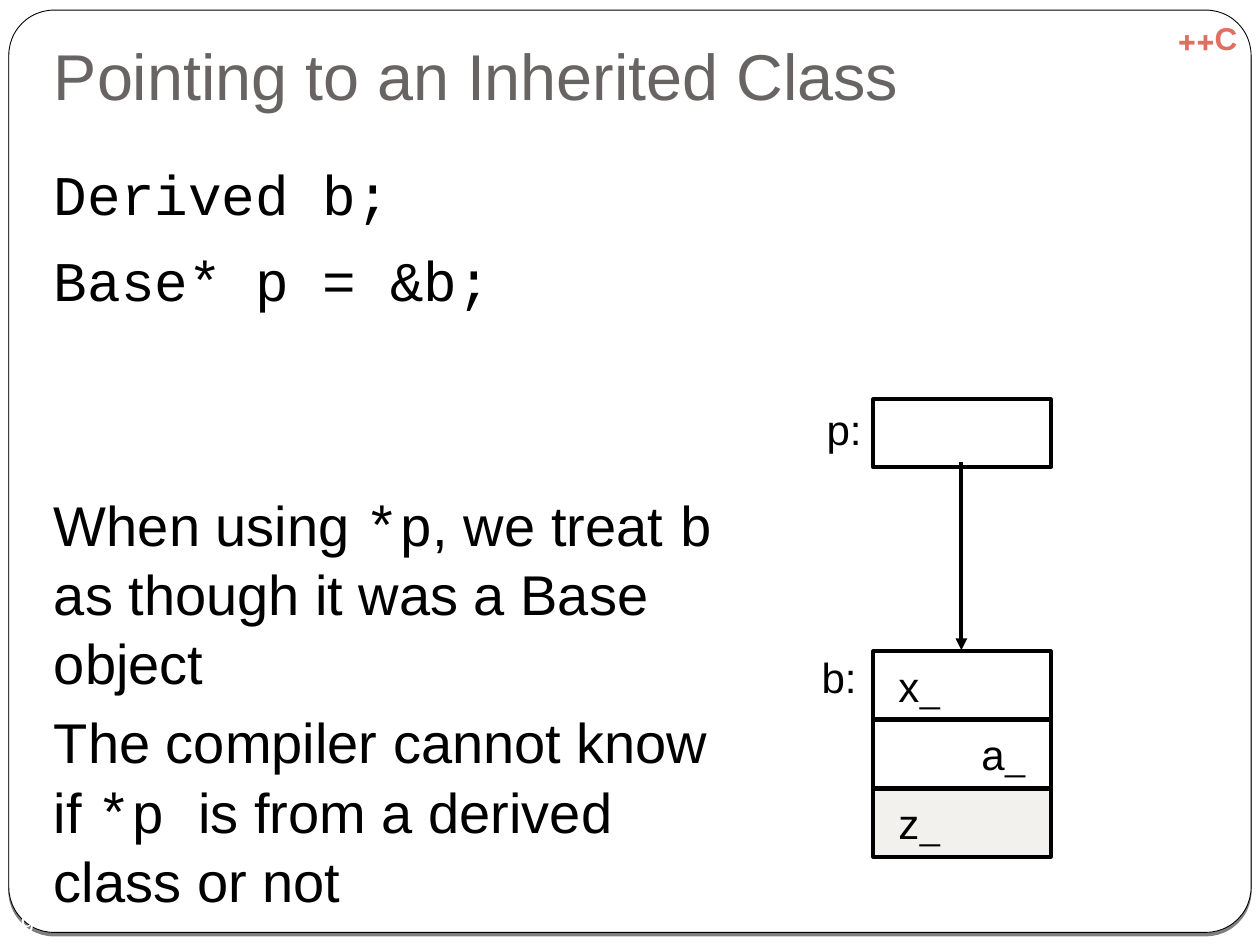
"""Build a slide on base-class pointers to derived objects."""
from lxml.etree import SubElement
from pptx import Presentation
from pptx.dml.color import RGBColor
from pptx.enum.shapes import MSO_CONNECTOR, MSO_SHAPE
from pptx.enum.text import MSO_ANCHOR, PP_ALIGN
from pptx.oxml import parse_xml
from pptx.oxml.ns import nsdecls, qn
from pptx.util import Inches, Pt

BLACK = RGBColor(0x00, 0x00, 0x00)
WHITE = RGBColor(0xFF, 0xFF, 0xFF)
GRAY = RGBColor(0x69, 0x64, 0x64)
CORAL = RGBColor(0xDE, 0x6F, 0x61)
SAND = RGBColor(0xE9, 0xE5, 0xDC)
SANS, MONO = "Arial", "Courier New"
CELL_LEFT, CELL_WIDTH, CELL_HEIGHT = 6.93, 1.41, 0.54
POINTER_TOP, OBJECT_TOP = 3.17, 5.17


class SlideWriter:
    def __init__(self, deck):
        self.page = deck.slides.add_slide(deck.slide_layouts[6])

    def style(self, para, size, color=BLACK, font=SANS, bold=False):
        for span in para.runs:
            span.font.name, span.font.size, span.font.bold = font, Pt(size), bold
            span.font.color.rgb = color

    def frame(self, shape, insets, anchor=MSO_ANCHOR.TOP, wrap=True):
        frame = shape.text_frame
        frame.word_wrap, frame.vertical_anchor = wrap, anchor
        (frame.margin_left, frame.margin_top,
         frame.margin_right, frame.margin_bottom) = map(Inches, insets)
        return frame

    def text(self, at, text, size, color=BLACK, insets=(0.1, 0.05, 0.1, 0.05),
             anchor=MSO_ANCHOR.TOP, align=PP_ALIGN.LEFT, wrap=True, bold=False, rtl=False):
        box = self.page.shapes.add_textbox(*map(Inches, at))
        para = self.frame(box, insets, anchor, wrap).paragraphs[0]
        para.text, para.alignment = text, align
        if rtl:
            para._p.get_or_add_pPr().set("rtl", "1")
        self.style(para, size, color, bold=bold)
        return para

    def body(self, at, paragraphs, size):
        box = self.page.shapes.add_textbox(*map(Inches, at))
        frame = self.frame(box, (0.1, 0.12, 0.1, 0.05))
        for index, (before, spacing, spans) in enumerate(paragraphs):
            para = frame.add_paragraph() if index else frame.paragraphs[0]
            para.line_spacing, para.space_before = spacing, Pt(before)
            if len(spans) == 1:
                para.text = spans[0][0]
                self.style(para, size, font=spans[0][1])
                continue
            for text, font in spans:
                span = para.add_run()
                span.text = text
                span.font.name, span.font.size = font, Pt(size)
                span.font.color.rgb = BLACK

    def shape(self, kind, at, fill=None, line_width=None, alpha=None):
        shape = self.page.shapes.add_shape(kind, *map(Inches, at))
        shape.shadow.inherit = False
        if fill is None:
            shape.fill.background()
        else:
            shape.fill.solid()
            shape.fill.fore_color.rgb = fill
        if alpha is not None:
            color = shape._element.spPr.find(".//" + qn("a:srgbClr"))
            SubElement(color, qn("a:alpha")).set("val", str(alpha * 1000))
        if line_width is None:
            shape.line.fill.background()
        else:
            shape.line.color.rgb, shape.line.width = BLACK, Pt(line_width)
        return shape

    def panel(self, at, corner):
        panel = self.shape(MSO_SHAPE.ROUNDED_RECTANGLE, at, WHITE, 0.5)
        panel.adjustments[0] = corner
        panel._element.spPr.find(qn("a:effectLst")).append(parse_xml(
            f'<a:outerShdw {nsdecls("a")} dist="25400" dir="5400000">'
            '<a:srgbClr val="000000"><a:alpha val="50000"/></a:srgbClr></a:outerShdw>'))

    def cell(self, top, text="", align=PP_ALIGN.LEFT, fill=None, alpha=None):
        at = (CELL_LEFT, top, CELL_WIDTH, CELL_HEIGHT)
        cell = self.shape(MSO_SHAPE.RECTANGLE, at, fill, 2.25, alpha)
        if text:
            frame = self.frame(cell, (0.2, 0.15, 0.2, 0.15), MSO_ANCHOR.MIDDLE)
            frame.text = text
            para = frame.paragraphs[0]
            para.alignment = align
            para._p.get_or_add_pPr().set("rtl", "1")
            self.style(para, 24)

    def label(self, left, top, text):
        self.text((left, top, 0.68, 0.7), text, 24, insets=(0.2, 0.15, 0.2, 0.15), wrap=False)

    def arrow(self, start, end):
        arrow = self.page.shapes.add_connector(
            MSO_CONNECTOR.STRAIGHT, *map(Inches, start + end))
        arrow.line.color.rgb, arrow.line.width = BLACK, Pt(2.25)
        SubElement(arrow.line._get_or_add_ln(), qn("a:tailEnd")).set("type", "triangle")
        SubElement(arrow._element.spPr, qn("a:effectLst"))


def main():
    deck = Presentation()
    deck.slide_width, deck.slide_height = Inches(10), Inches(7.5)
    slide = SlideWriter(deck)

    slide.shape(MSO_SHAPE.RECTANGLE, (0, 0, 10, 7.5), WHITE)
    slide.panel((0.07, 0.08, 9.86, 7.32), 0.049)
    slide.text((9.17, 0.1, 0.83, 0.4), "C++", 18, CORAL,
               align=PP_ALIGN.CENTER, bold=True, rtl=True)
    title = slide.text((0.33, 0.3, 9.33, 0.7), "Pointing to an Inherited Class", 37, GRAY,
                       insets=(0.1, 0.05, 0.1, 0.1), anchor=MSO_ANCHOR.BOTTOM)
    title.line_spacing = 0.8
    slide.text((0, 7.17, 0.33, 0.33), "19", 14, WHITE, insets=(0, 0, 0, 0),
               anchor=MSO_ANCHOR.MIDDLE, align=PP_ALIGN.CENTER)

    slide.body((0.33, 1, 5.58, 6.25), [
        (0, 1.28, [("Derived b;\vBase* p = &b;", MONO)]),
        (100, 1.03, [("When using ", SANS), ("*p", MONO), (", we treat ", SANS),
                     ("b ", MONO), ("as though it was a Base object", SANS)]),
        (5.8, 1.03, [("The compiler cannot know if ", SANS), ("*p ", MONO),
                     ("is from a derived class or not", SANS)]),
    ], 32)

    members = [("_x", PP_ALIGN.LEFT, None, None),
               ("_a", PP_ALIGN.RIGHT, None, None),
               ("_z", PP_ALIGN.LEFT, SAND, 50)]
    for row, (name, align, fill, alpha) in enumerate(members):
        slide.cell(OBJECT_TOP + row * 0.545, name, align, fill, alpha)
    slide.label(6.32, 5.02, "b:")
    slide.cell(POINTER_TOP)
    slide.label(6.36, 3.05, "p:")
    slide.arrow((7.63, 3.67), (7.63, 5.16))

    deck.save("out.pptx")


if __name__ == "__main__":
    main()
